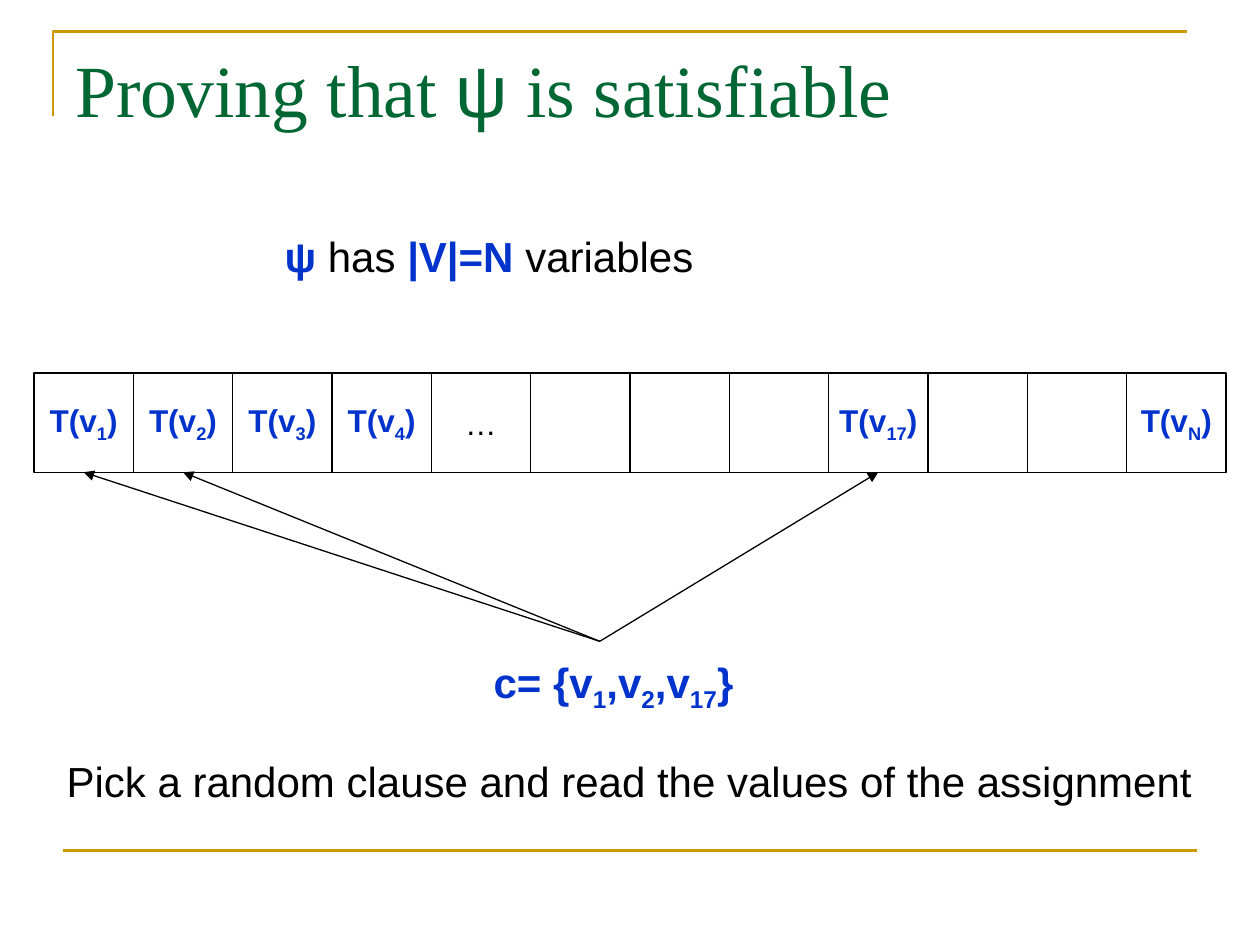
from lxml import etree
from pptx import Presentation
from pptx.dml.color import RGBColor
from pptx.enum.shapes import MSO_CONNECTOR, MSO_SHAPE
from pptx.enum.text import MSO_ANCHOR, PP_ALIGN
from pptx.oxml.ns import qn
from pptx.util import Inches, Pt

STRAIGHT, RECT = MSO_CONNECTOR.STRAIGHT, MSO_SHAPE.RECTANGLE
TOP, MIDDLE = MSO_ANCHOR.TOP, MSO_ANCHOR.MIDDLE
LEFT, CENTER = PP_ALIGN.LEFT, PP_ALIGN.CENTER
BLACK, BLUE, GREEN, GOLD = "000000", "0033CC", "006633", "CC9900"

STYLES = {
    "plain": {"name": "Arial", "color": BLACK, "bold": False},
    "bold": {"name": "Arial", "color": BLUE, "bold": True},
    "sub": {"name": "Arial", "color": BLUE, "bold": True, "baseline": -25000},
    "title": {"name": "Times New Roman", "color": GREEN, "bold": False},
    "symbol": {"name": "Arial", "color": GREEN, "bold": False},
}
TITLE = [("Proving that ", "title"), ("ψ", "symbol"), (" is satisfiable", "title")]
CELLS = ["1", "2", "3", "4", "…", "", "", "", "17", "", "", "N"]
CLAUSE = ["1", "2", "17"]
VARIABLES = [("ψ", "bold"), (" has ", "plain"), ("|V|=N", "bold"), (" variables", "plain")]
PICK = [("Pick a random clause and read the values of the assignment", "plain")]
CLAUSE_TEXT = [("c= {v", "bold"), ("1", "sub"), (",v", "bold"), ("2", "sub"),
               (",v", "bold"), ("17", "sub"), ("}", "bold")]
TEXTS = [
    (VARIABLES, (2.16, 1.78, 6.38, 0.5), LEFT, 0.1),
    (PICK, (0.43, 5.95, 9.29, 0.5), LEFT, 0.1),
    (CLAUSE_TEXT, (3.66, 5.16, 2.6, 0.56), CENTER, 0.28),
]
ROW_LEFT, ROW_TOP, ROW_WIDTH = 0.27, 2.96, 9.46
CELL = ROW_WIDTH / len(CELLS)
CLAUSE_POINT = (4.76, 5.09)


def rgb(value):
    return RGBColor.from_string(value)


def write(tf, runs, size, align=LEFT, anchor=TOP, wrap=True, right=0.1):
    layout = {"word_wrap": wrap, "vertical_anchor": anchor, "margin_left": Inches(0.1),
              "margin_right": Inches(right), "margin_top": Inches(0.05),
              "margin_bottom": Inches(0.05)}
    for key, value in layout.items():
        setattr(tf, key, value)
    p = tf.paragraphs[0]
    p.alignment = align
    for text, style in runs:
        r = p.add_run()
        r.text = text
        r.font.size = Pt(size)
        for key, value in STYLES[style].items():
            if key == "color":
                r.font.color.rgb = rgb(value)
            elif key == "baseline":
                r._r.get_or_add_rPr().set("baseline", str(value))
            else:
                setattr(r.font, key, value)


def outline(shape, color, width):
    shape.line.color.rgb = rgb(color)
    shape.line.width = Pt(width)


def add_line(s, start, end, color, width, arrow=False):
    line = s.shapes.add_connector(STRAIGHT, *map(Inches, start + end))
    outline(line, color, width)
    if arrow:
        etree.SubElement(line.line._get_or_add_ln(), qn("a:tailEnd"), type="triangle")
    etree.SubElement(line._element.spPr, qn("a:effectLst"))


def add_frame(s):
    builder = s.shapes.build_freeform(Inches(0.42), Inches(0.92))
    builder.add_line_segments([(Inches(0.42), Inches(0.25)), (Inches(9.42), Inches(0.25))],
                              close=False)
    frame = builder.convert_to_shape()
    frame.fill.background()
    frame.shadow.inherit = False
    outline(frame, GOLD, 1.5)
    add_line(s, (0.5, 6.75), (9.5, 6.75), GOLD, 1.5)


def add_cell(s, index, label):
    sp = s.shapes.add_shape(RECT, Inches(ROW_LEFT + index * CELL), Inches(ROW_TOP),
                            Inches(CELL), Inches(CELL))
    sp.fill.background()
    sp.shadow.inherit = False
    outline(sp, BLACK, 0.75)
    if label == "…":
        runs = [(label, "plain")]
    else:
        runs = [("T(v", "bold"), (label, "sub"), (")", "bold")]
    if label:
        write(sp.text_frame, runs, 18, CENTER, MIDDLE, wrap=False)


def main():
    prs = Presentation()
    prs.slide_width, prs.slide_height = Inches(10), Inches(7.5)
    s = prs.slides.add_slide(prs.slide_layouts[5])
    add_frame(s)
    title = s.shapes.title
    title.left, title.top, title.width, title.height = map(Inches, (0.5, 0.3, 9, 1.25))
    write(title.text_frame, TITLE, 42)
    for index, label in enumerate(CELLS):
        add_cell(s, index, label)
    for runs, box, align, right in TEXTS:
        tf = s.shapes.add_textbox(*map(Inches, box)).text_frame
        write(tf, runs, 24, align, right=right)
    for label in CLAUSE:
        target = (ROW_LEFT + (CELLS.index(label) + 0.5) * CELL, ROW_TOP + CELL)
        add_line(s, CLAUSE_POINT, target, BLACK, 0.75, arrow=True)
    prs.save("out.pptx")


if __name__ == "__main__":
    main()
